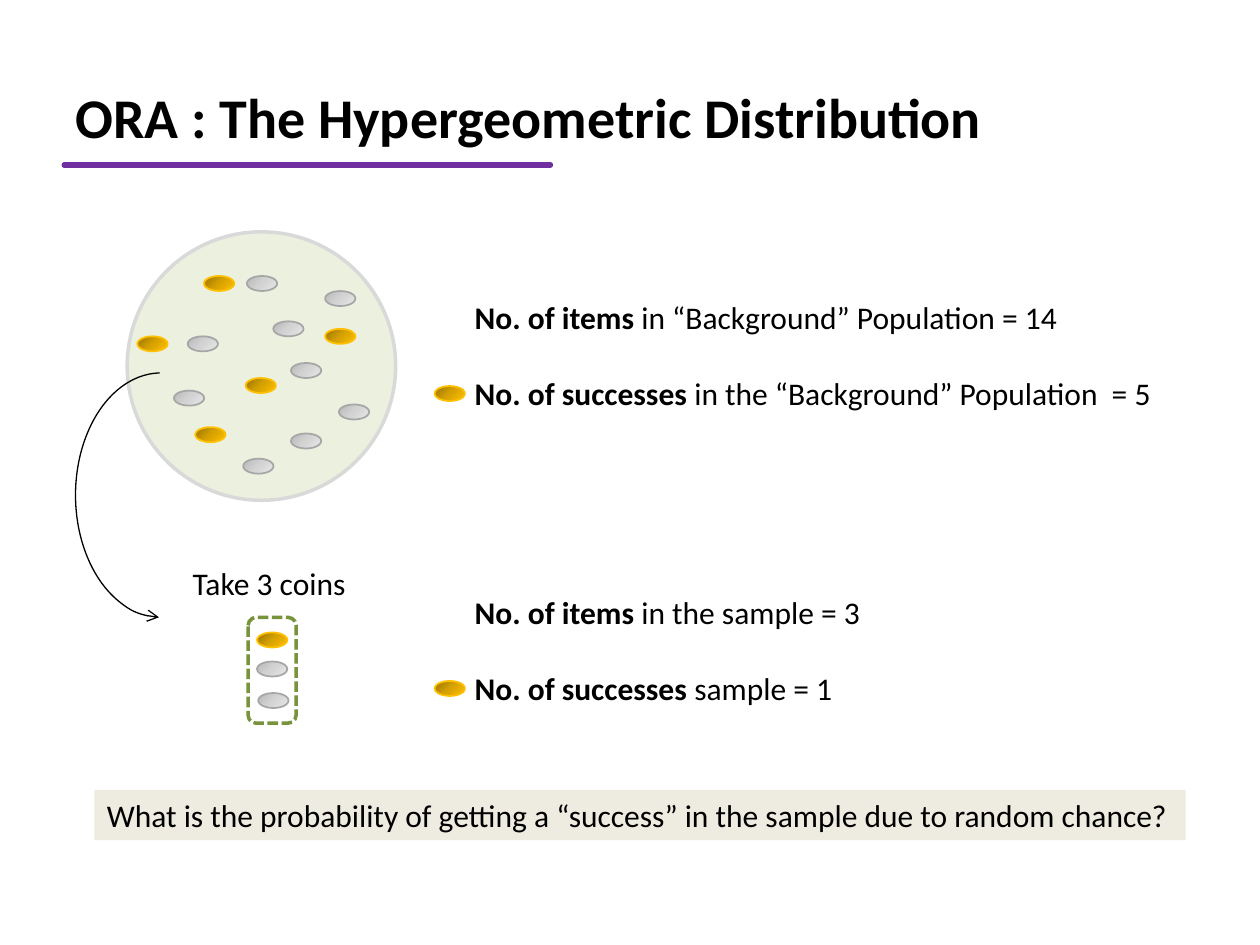
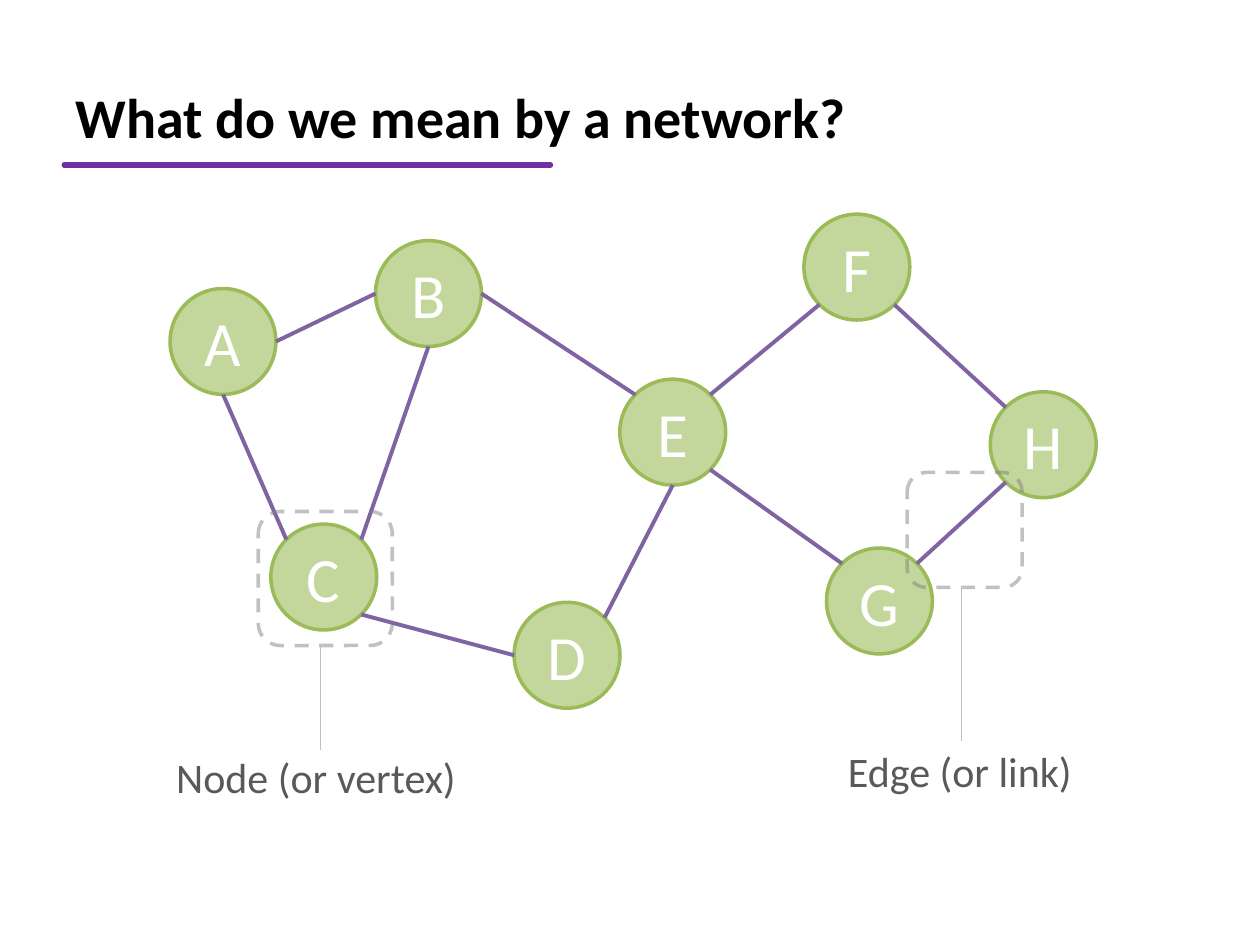
import copy
import math

from lxml import etree
from pptx import Presentation
from pptx.dml.color import RGBColor
from pptx.enum import dml, shapes, text
from pptx.oxml.ns import qn
from pptx.util import Pt

# ---- Shared look ----
FONT = "Calibri"
BLACK, PURPLE, GREY = "000000", "7030A0", "595959"
SHAPE = shapes.MSO_SHAPE
TITLE_BOX = (36, 21.6, 648, 90)
TITLE_RULE = ((36.7, 94.3), (314.6, 94.3))

# ---- Slide 1 content ----
ORA_TITLE = "ORA : The Hypergeometric Distribution"
COIN_W, COIN_H = 17.3, 8.6
COINS = {  # three gradient colours, then the outline
    "gold": ("977200", "D7A200", "FFC000", "FFC000"),
    "silver": ("B8B8B8", "D3D3D3", "E9E9E9", "A6A6A6"),
}
POPULATION = {
    "gold": [(78.5, 192.2), (111.6, 244.1), (116.6, 157.7), (185.8, 187.9),
             (140.4, 216)],
    "silver": [(141.1, 157.7), (156.2, 183.6), (166.3, 207.4), (107.3, 192.2),
               (99.4, 223.2), (166.3, 247.7), (185.8, 166.3), (193.7, 231.1),
               (139, 262.1)],
}
SAMPLE = [("gold", 146.9, 361.4), ("silver", 146.9, 378), ("silver", 147.6, 396)]
COUNTS = [  # box, then lines of (bold part, plain part)
    ((264.2, 167, 419, 72.7),
     [("No. of items", " in “Background” Population = 14"),
      ("No. of successes ", "in the “Background” Population  = 5")]),
    ((264.2, 335.5, 249.1, 72.7),
     [("No. of items", " in the sample = 3"),
      ("No. of successes ", "sample = 1")]),
]
TAKE = "Take 3 coins"
QUESTION = ("What is the probability of getting a “success” in the sample "
            "due to random chance?")

# ---- Slide 2 content ----
NETWORK_TITLE = "What do we mean by a network?"
NODE = 60.5
NODES = {"A": (97.2, 164.9), "B": (214.6, 137.5), "C": (154.8, 299.5),
         "D": (293.8, 344.2), "E": (354.2, 216.7), "F": (459.4, 122.4),
         "G": (472.3, 313.2), "H": (565.9, 223.9)}
COMPASS = ("E", "SE", "S", "SW", "W", "NW", "N", "NE")
EDGES = ["A E B W", "A S C NW", "B S C NE", "B E E NW", "C SE D W",
         "D NE E S", "E NE F SW", "F SE H NW", "E SE G NW", "G NE H SW"]
CALLOUTS = [  # label, dashed box, leader x and bottom, label box
    ("Node (or vertex)", (147.6, 292.3, 76.6, 76.6), (183.1, 428.4),
     (93.6, 426.2, 175.7, 36)),
    ("Edge (or link)", (518.4, 270, 65.7, 65.7), (549.5, 423.4),
     (477.4, 422.6, 143.3, 36)),
]


# ---- Helpers ----
def rgb(colour):
    return RGBColor.from_string(colour)


def pts(values):
    return [Pt(v) for v in values]


def set_line(obj, colour, width, dash=None):
    obj.line.color.rgb = rgb(colour)
    obj.line.width = Pt(width)
    if dash:
        obj.line.dash_style = dash


def add_shape(s, kind, box, line, fill=None):
    sp = s.shapes.add_shape(kind, *pts(box))
    sp.shadow.inherit = False
    if fill:
        sp.fill.solid()
        sp.fill.fore_color.rgb = rgb(fill)
    else:
        sp.fill.background()
    set_line(sp, *line)
    return sp


def add_line(s, start, end, colour, width):
    cx = s.shapes.add_connector(shapes.MSO_CONNECTOR.STRAIGHT, *pts(start + end))
    set_line(cx, colour, width)
    etree.SubElement(cx.element.spPr, qn("a:effectLst"))
    return cx


def add_run(p, words, size, colour=BLACK, bold=False):
    r = p.add_run()
    r.text = words
    for name, value in dict(name=FONT, size=Pt(size), bold=bold).items():
        setattr(r.font, name, value)
    r.font.color.rgb = rgb(colour)


def add_text(s, box, lines, size, colour=BLACK, gap=0):
    """Each line is a (bold part, plain part) pair."""
    sp = s.shapes.add_textbox(*pts(box))
    tf = sp.text_frame
    tf.word_wrap = False
    tf.auto_size = text.MSO_AUTO_SIZE.SHAPE_TO_FIT_TEXT
    for i, (strong, plain) in enumerate(lines):
        p = tf.add_paragraph() if i else tf.paragraphs[0]
        p.space_before = Pt(gap if i else 0)
        if strong:
            add_run(p, strong, size, colour, True)
        add_run(p, plain, size, colour)
    return sp


def add_slide(prs, title):
    s = prs.slides.add_slide(prs.slide_layouts[5])
    rule = add_line(s, *TITLE_RULE, PURPLE, 3)
    rule.element.spPr.find(qn("a:ln")).set("cap", "rnd")
    sp = s.shapes.title
    sp.left, sp.top, sp.width, sp.height = pts(TITLE_BOX)
    tf = sp.text_frame
    tf.auto_size = text.MSO_AUTO_SIZE.NONE
    tf.vertical_anchor = text.MSO_ANCHOR.MIDDLE
    tf.paragraphs[0].alignment = text.PP_ALIGN.LEFT
    add_run(tf.paragraphs[0], title, 32, bold=True)
    return s


def add_coin(s, metal, x, y):
    *shades, outline = COINS[metal]
    sp = add_shape(s, SHAPE.OVAL, (x, y, COIN_W, COIN_H), (outline, 1))
    sp.fill.gradient()
    sp.fill.gradient_angle = 315
    stops = sp.element.spPr.find(".//" + qn("a:gsLst"))
    stops.insert(1, copy.deepcopy(stops[0]))
    for stop, shade, position in zip(sp.fill.gradient_stops, shades, (0, 0.5, 1)):
        stop.color.rgb = rgb(shade)
        stop.position = position


def node_point(name, side):
    """Point on a node's rim in a compass direction."""
    angle = math.radians(45 * COMPASS.index(side))
    x, y = NODES[name]
    r = NODE / 2
    return (x + r + r * math.cos(angle), y + r + r * math.sin(angle))


# ---- Slides ----
def build_ora(prs):
    s = add_slide(prs, ORA_TITLE)

    # Population and its coins
    add_shape(s, SHAPE.OVAL, (72.7, 132.5, 153.4, 153.4), ("D9D9D9", 2), "EBF1DE")
    for metal, places in POPULATION.items():
        for x, y in places:
            add_coin(s, metal, x, y)

    # Curved arrow from the population to the sample
    arc = add_shape(s, SHAPE.ARC, (22.3, 234, 139.7, 97.9), (BLACK, 0.75))
    arc.rotation = 270
    arc.element.spPr.find(qn("a:xfrm")).set("flipH", "1")
    arc.adjustments[0], arc.adjustments[1] = 108.45, 215.38
    ln = arc.element.spPr.find(qn("a:ln"))
    etree.SubElement(ln, qn("a:tailEnd"), type="arrow")

    # Sample
    add_text(s, (103, 319, 105.1, 28.8), [("", TAKE)], 18)
    for coin in SAMPLE:
        add_coin(s, *coin)
    add_shape(s, SHAPE.ROUNDED_RECTANGLE, (141.8, 352.8, 27.4, 60.5),
              ("77933C", 2, dml.MSO_LINE.SQUARE_DOT))

    # Counts, each with a gold coin beside its second line
    for box, lines in COUNTS:
        add_text(s, box, lines, 18, gap=21.6)
        add_coin(s, "gold", 248.4, box[1] + 53.6)

    # Question band
    band = add_text(s, (54, 451.4, 623.5, 28.8), [("", QUESTION)], 18)
    band.fill.solid()
    band.fill.fore_color.rgb = rgb("EEECE1")


def build_network(prs):
    s = add_slide(prs, NETWORK_TITLE)

    # Nodes
    for name, place in NODES.items():
        sp = add_shape(s, SHAPE.OVAL, place + (NODE, NODE), ("9BBB59", 2), "C3D69B")
        tf = sp.text_frame
        tf.vertical_anchor = text.MSO_ANCHOR.MIDDLE
        tf.paragraphs[0].alignment = text.PP_ALIGN.CENTER
        add_run(tf.paragraphs[0], name, 36, "FFFFFF")

    # Edges
    for edge in EDGES:
        a, a_side, b, b_side = edge.split()
        add_line(s, node_point(a, a_side), node_point(b, b_side), "8064A2", 2.25)

    # Callouts
    for label, box, (x, bottom), label_box in CALLOUTS:
        sp = add_shape(s, SHAPE.ROUNDED_RECTANGLE, box,
                       ("7F7F7F", 2, dml.MSO_LINE.DASH))
        colour = sp.element.spPr.find(qn("a:ln")).find(".//" + qn("a:srgbClr"))
        etree.SubElement(colour, qn("a:alpha"), val="48000")
        add_line(s, (x, box[1] + box[3]), (x, bottom), "BFBFBF", 0.75)
        add_text(s, label_box, [("", label)], 24, GREY)


def main():
    prs = Presentation()
    prs.slide_width, prs.slide_height = Pt(720), Pt(540)
    build_ora(prs)
    build_network(prs)
    prs.save("out.pptx")


if __name__ == "__main__":
    main()
